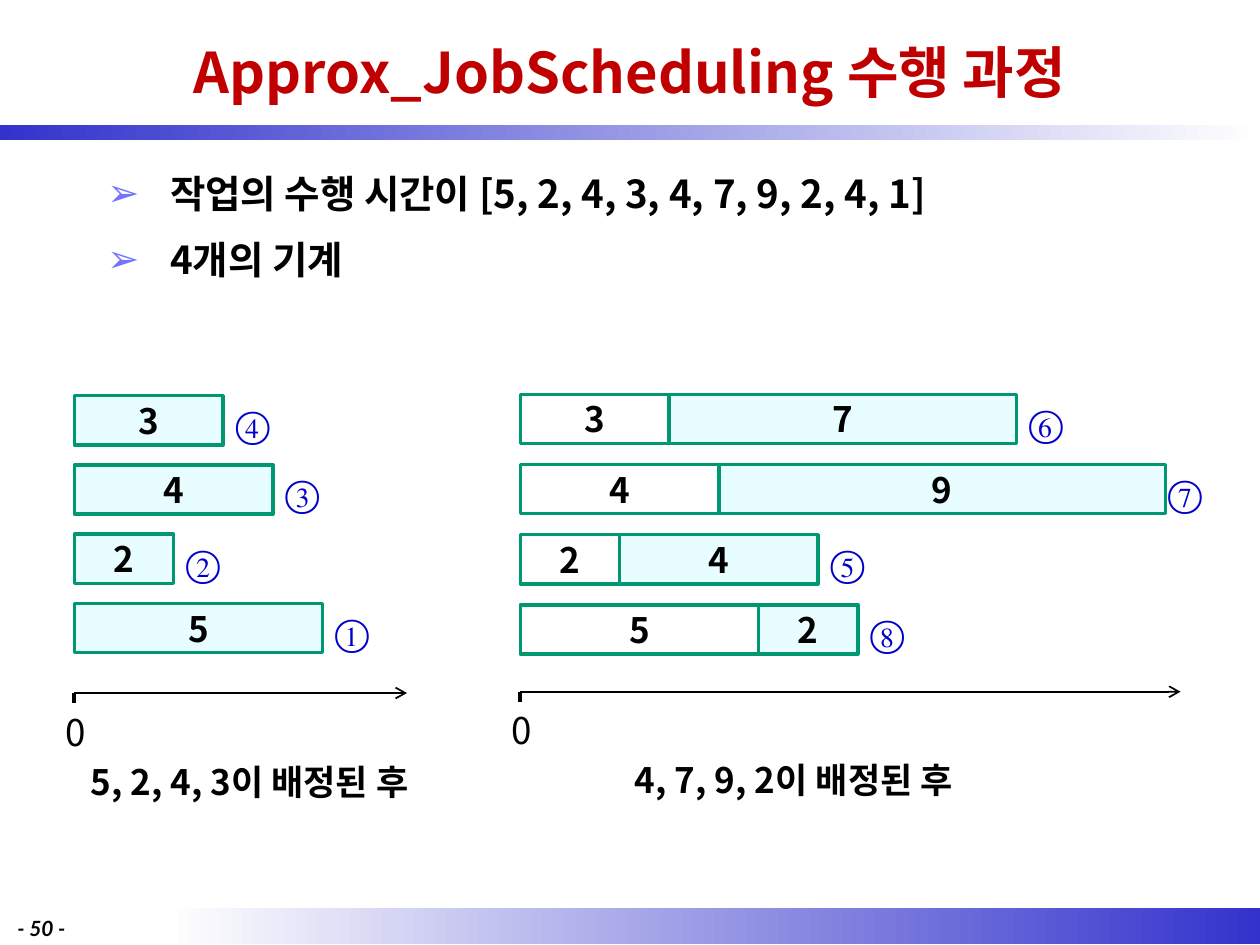
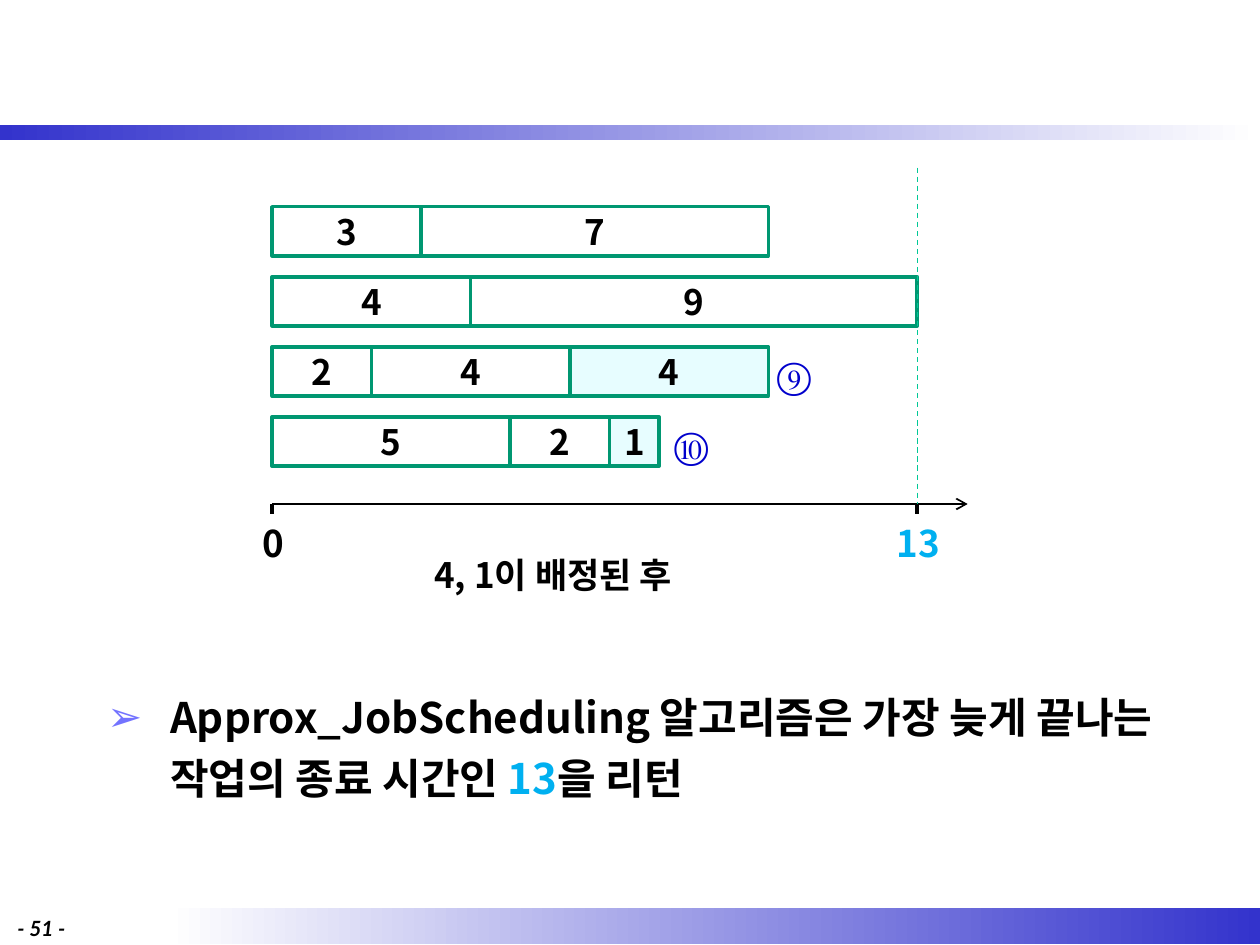
from dataclasses import dataclass

from lxml import etree
from pptx import Presentation
from pptx.dml.color import RGBColor
from pptx.enum.dml import MSO_LINE
from pptx.enum.shapes import MSO_CONNECTOR, MSO_SHAPE
from pptx.enum.text import MSO_ANCHOR, MSO_AUTO_SIZE, PP_ALIGN
from pptx.oxml.ns import qn
from pptx.util import Inches, Pt

COLOURS = {
    "title": "C00000", "text": "000000", "band": "3333CC", "paper": "FFFFFF",
    "bullet": "7373FF", "new_job": "E7FDFF", "bar_line": "009771",
    "order": "0000CC", "result": "00B0F0", "finish": "00C896",
}
KOREAN, LATIN, SERIF = "Noto Sans CJK KR", "Lato", "Times New Roman"
TIME_UNIT = Inches(5.12) / 13
BAR_HEIGHT = Inches(0.39)
TICK_HEIGHT = Inches(0.08)


@dataclass(frozen=True)
class Style:
    size: float
    colour: str = "text"
    bold: bool = True
    italic: bool = False
    face: str = KOREAN


@dataclass(frozen=True)
class Job:
    time: int
    new: bool = False
    units: float = 0  # drawn length, when it differs from the time


@dataclass(frozen=True)
class Machine:
    jobs: tuple[Job, ...]
    order: str = ""
    order_shift: float = 0


@dataclass(frozen=True)
class Tick:
    time: int
    style: Style


@dataclass(frozen=True)
class Schedule:
    left: float
    first_top: float
    last_top: float
    axis_top: float
    axis_length: float
    machines: tuple[Machine, ...]
    ticks: tuple[Tick, ...]
    caption: str
    caption_centre: float
    caption_top: float


TITLE = Style(32, "title")
BAR_LABEL = Style(20)
ORDER = Style(21, "order", False, face=SERIF)
PAGE = Style(12, italic=True, face=LATIN)
ZERO = Tick(0, Style(21, bold=False))

LONG_FIVE = Job(5, units=4.8)

AFTER_FOUR = Schedule(
    0.59, 3.14, 4.79, 5.5, 2.64,
    (Machine((Job(3, True),), "④"), Machine((Job(4, True),), "③"),
     Machine((Job(2, True),), "②"), Machine((Job(5, True),), "①")),
    (ZERO,), "5, 2, 4, 3이 배정된 후", 1.98, 5.99)

AFTER_EIGHT = Schedule(
    4.13, 3.13, 4.8, 5.49, 5.24,
    (Machine((Job(3), Job(7, True)), "⑥"),
     Machine((Job(4), Job(9, True)), "⑦", -0.08),
     Machine((Job(2), Job(4, True)), "⑤"),
     Machine((LONG_FIVE, Job(2, True)), "⑧")),
    (ZERO,), "4, 7, 9, 2이 배정된 후", 6.3, 5.97)

AFTER_ALL = Schedule(
    2.16, 1.64, 3.31, 4, 5.52,
    (Machine((Job(3), Job(7))), Machine((Job(4), Job(9))),
     Machine((Job(2), Job(4), Job(4, True)), "⑨", -0.03),
     Machine((LONG_FIVE, Job(2), Job(1, True)), "⑩", 0.02)),
    (Tick(0, Style(21)), Tick(13, Style(21, "result"))),
    "4, 1이 배정된 후", 4.39, 4.34)


def rgb(name: str) -> RGBColor:
    return RGBColor.from_string(COLOURS[name])


def format_run(run, style: Style) -> None:
    font = run.font
    font.size, font.name = Pt(style.size), style.face
    font.bold, font.italic = style.bold, style.italic
    font.color.rgb = rgb(style.colour)
    east_asian = etree.SubElement(run._r.get_or_add_rPr(), qn("a:ea"))
    east_asian.set("typeface", style.face)


def write(shape, text: str, style: Style, align=PP_ALIGN.LEFT) -> None:
    shape.text_frame.text = text
    paragraph = shape.text_frame.paragraphs[0]
    paragraph.alignment = align
    format_run(paragraph.runs[0], style)


def add_label(slide, left, top, width, height, text: str, style: Style,
              align=PP_ALIGN.LEFT) -> None:
    label = slide.shapes.add_textbox(int(left), int(top), width, height)
    label.text_frame.word_wrap = True
    write(label, text, style, align)


def add_line(slide, start, end, width: float, colour: str = "text",
             arrow: bool = False, dashed: bool = False) -> None:
    line = slide.shapes.add_connector(
        MSO_CONNECTOR.STRAIGHT, *(int(value) for value in (*start, *end)))
    line.line.width = Pt(width)
    line.line.color.rgb = rgb(colour)
    if dashed:
        line.line.dash_style = MSO_LINE.DASH
    properties = line._element.spPr
    if arrow:
        head = etree.SubElement(properties.find(qn("a:ln")), qn("a:tailEnd"))
        head.set("type", "arrow")
    etree.SubElement(properties, qn("a:effectLst"))


def add_band(slide, left, top, width, height, colours: tuple[str, str]) -> None:
    band = slide.shapes.add_shape(MSO_SHAPE.RECTANGLE, left, top, width, height)
    band.shadow.inherit = False
    band.line.fill.background()
    band.fill.gradient()
    band.fill.gradient_angle = 0
    for stop, position, colour in zip(band.fill.gradient_stops, (0, 1), colours):
        stop.position = position
        stop.color.rgb = rgb(colour)


def add_page(deck, number: int):
    """Add a slide with the two bands and its page number."""
    slide = deck.slides.add_slide(deck.slide_layouts[1])
    add_band(slide, Inches(1.33), Inches(7.21), Inches(8.67), Inches(0.28),
             ("paper", "band"))
    add_band(slide, 0, Inches(0.99), Inches(10), Inches(0.12), ("band", "paper"))
    add_label(slide, Inches(0.04), Inches(7.22), Inches(0.71), Inches(0.24),
              f"- {number} -", PAGE)
    return slide


def place(placeholder, top: float, height: float, anchor) -> None:
    placeholder.left, placeholder.top = Inches(0.75), Inches(top)
    placeholder.width, placeholder.height = Inches(8.5), Inches(height)
    frame = placeholder.text_frame
    frame.word_wrap, frame.auto_size = True, MSO_AUTO_SIZE.NONE
    frame.vertical_anchor = anchor


def fill_body(slide, top: float, height: float,
              points: list[list[tuple[str, Style]]]) -> None:
    """Write bulleted points, each a list of styled pieces."""
    body = slide.placeholders[1]
    place(body, top, height, MSO_ANCHOR.TOP)
    frame = body.text_frame
    for index, pieces in enumerate(points):
        point = frame.add_paragraph() if index else frame.paragraphs[0]
        point.alignment = PP_ALIGN.JUSTIFY
        point.line_spacing = 1.2
        point.space_before, point.space_after = Pt(0), Pt(6)
        properties = point._p.get_or_add_pPr()
        properties.set("marL", str(Inches(0.5)))
        properties.set("indent", str(-Inches(0.5)))
        bullet_colour = etree.SubElement(properties, qn("a:buClr"))
        etree.SubElement(bullet_colour, qn("a:srgbClr")).set("val", COLOURS["bullet"])
        etree.SubElement(properties, qn("a:buChar")).set("char", "➢")
        for text, style in pieces:
            run = point.add_run()
            run.text = text
            format_run(run, style)


def add_bar(slide, left, top, width, job: Job) -> None:
    bar = slide.shapes.add_shape(
        MSO_SHAPE.RECTANGLE, int(left), int(top), int(width), BAR_HEIGHT)
    bar.shadow.inherit = False
    if job.new:
        bar.fill.solid()
        bar.fill.fore_color.rgb = rgb("new_job")
    else:
        bar.fill.background()
    bar.line.color.rgb, bar.line.width = rgb("bar_line"), Pt(2)
    frame = bar.text_frame
    frame.margin_left = frame.margin_right = 0
    frame.margin_top = frame.margin_bottom = 0
    frame.vertical_anchor = MSO_ANCHOR.MIDDLE
    write(bar, str(job.time), BAR_LABEL, PP_ALIGN.CENTER)


def add_schedule(slide, plan: Schedule) -> None:
    left, axis = Inches(plan.left), Inches(plan.axis_top)
    pitch = Inches(plan.last_top - plan.first_top) / (len(plan.machines) - 1)

    # One row of bars per machine, closed by the order of assignment
    for row, machine in enumerate(plan.machines):
        top, end = Inches(plan.first_top) + row * pitch, left
        for job in machine.jobs:
            width = (job.units or job.time) * TIME_UNIT
            add_bar(slide, end, top, width, job)
            end += width
        if machine.order:
            add_label(slide, end + Inches(machine.order_shift), top,
                      Inches(0.54), Inches(0.4), machine.order, ORDER)

    # Time axis
    add_line(slide, (left, axis), (left + Inches(plan.axis_length), axis), 1,
             arrow=True)
    for tick in plan.ticks:
        x = left + tick.time * TIME_UNIT
        add_line(slide, (x, axis), (x, axis + TICK_HEIGHT), 2.25)
        add_label(slide, x - Inches(0.29), axis + TICK_HEIGHT, Inches(0.6),
                  Inches(0.45), str(tick.time), tick.style, PP_ALIGN.CENTER)

    caption_width = Inches(3.7)
    add_label(slide, Inches(plan.caption_centre) - caption_width / 2,
              Inches(plan.caption_top), caption_width, Inches(0.44),
              plan.caption, BAR_LABEL, PP_ALIGN.CENTER)


def add_first_steps(deck) -> None:
    slide = add_page(deck, 50)
    place(slide.shapes.title, 0.05, 1.03, MSO_ANCHOR.MIDDLE)
    write(slide.shapes.title, "Approx_JobScheduling 수행 과정", TITLE,
          PP_ALIGN.CENTER)
    point = Style(22)
    fill_body(slide, 1.23, 1.5, [
        [("작업의 수행 시간이 [5, 2, 4, 3, 4, 7, 9, 2, 4, 1]", point)],
        [("4개의 기계", point)],
    ])
    add_schedule(slide, AFTER_FOUR)
    add_schedule(slide, AFTER_EIGHT)


def add_final_step(deck) -> None:
    slide = add_page(deck, 51)
    unused_title = slide.shapes.title._element
    unused_title.getparent().remove(unused_title)
    point = Style(24)
    fill_body(slide, 5.36, 1.5, [[
        ("Approx_JobScheduling 알고리즘은 가장 늦게 끝나는 작업의 종료 시간인 ", point),
        ("13", Style(24, "result")),
        ("을 리턴", point),
    ]])
    add_schedule(slide, AFTER_ALL)

    # Finishing time of the slowest machine
    finish = Inches(AFTER_ALL.left) + 13 * TIME_UNIT
    add_line(slide, (finish, Inches(1.33)), (finish, Inches(AFTER_ALL.axis_top)),
             0.75, "finish", dashed=True)


def main() -> None:
    deck = Presentation()
    deck.slide_width, deck.slide_height = Inches(10), Inches(7.5)
    add_first_steps(deck)
    add_final_step(deck)
    deck.save("out.pptx")


if __name__ == "__main__":
    main()
